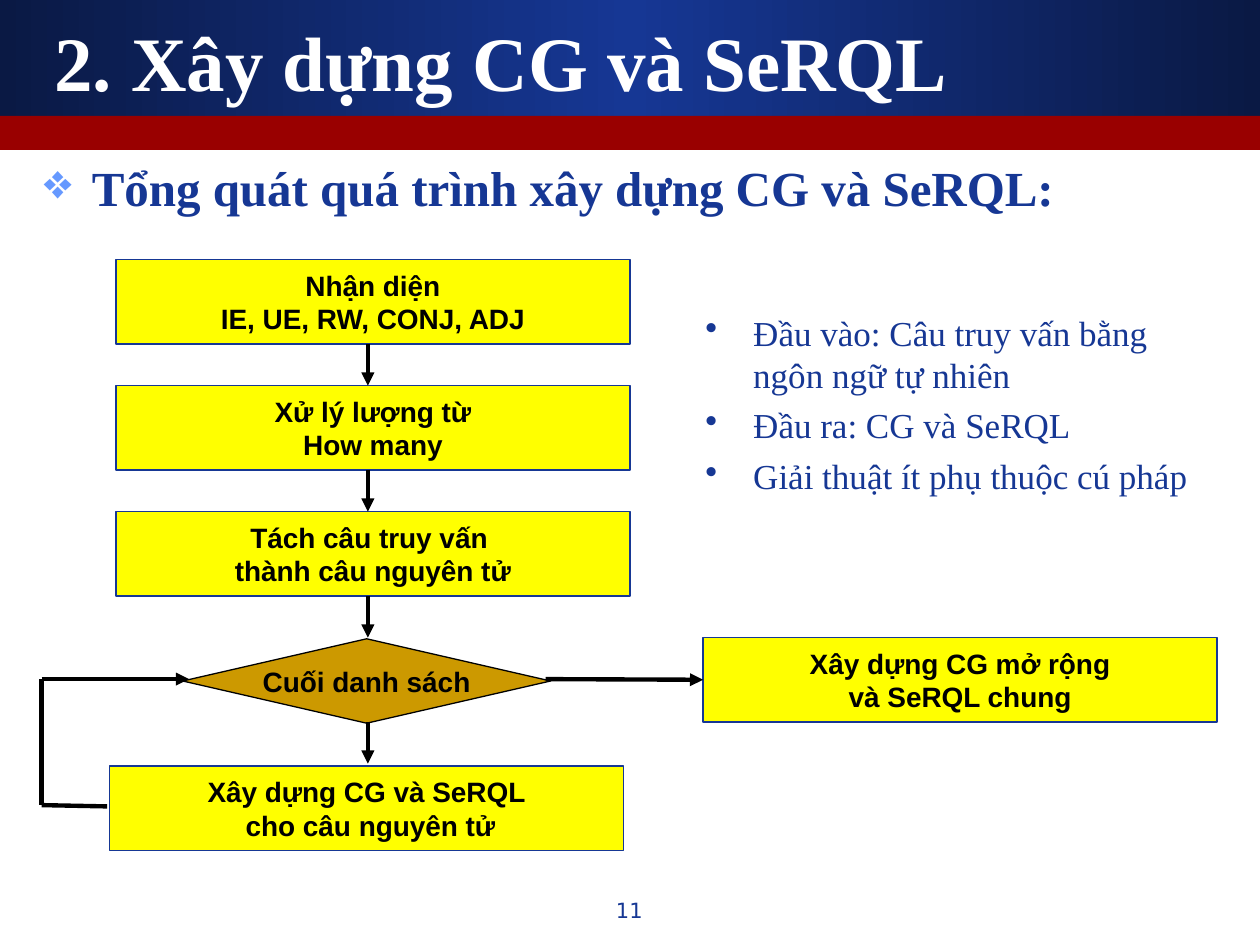
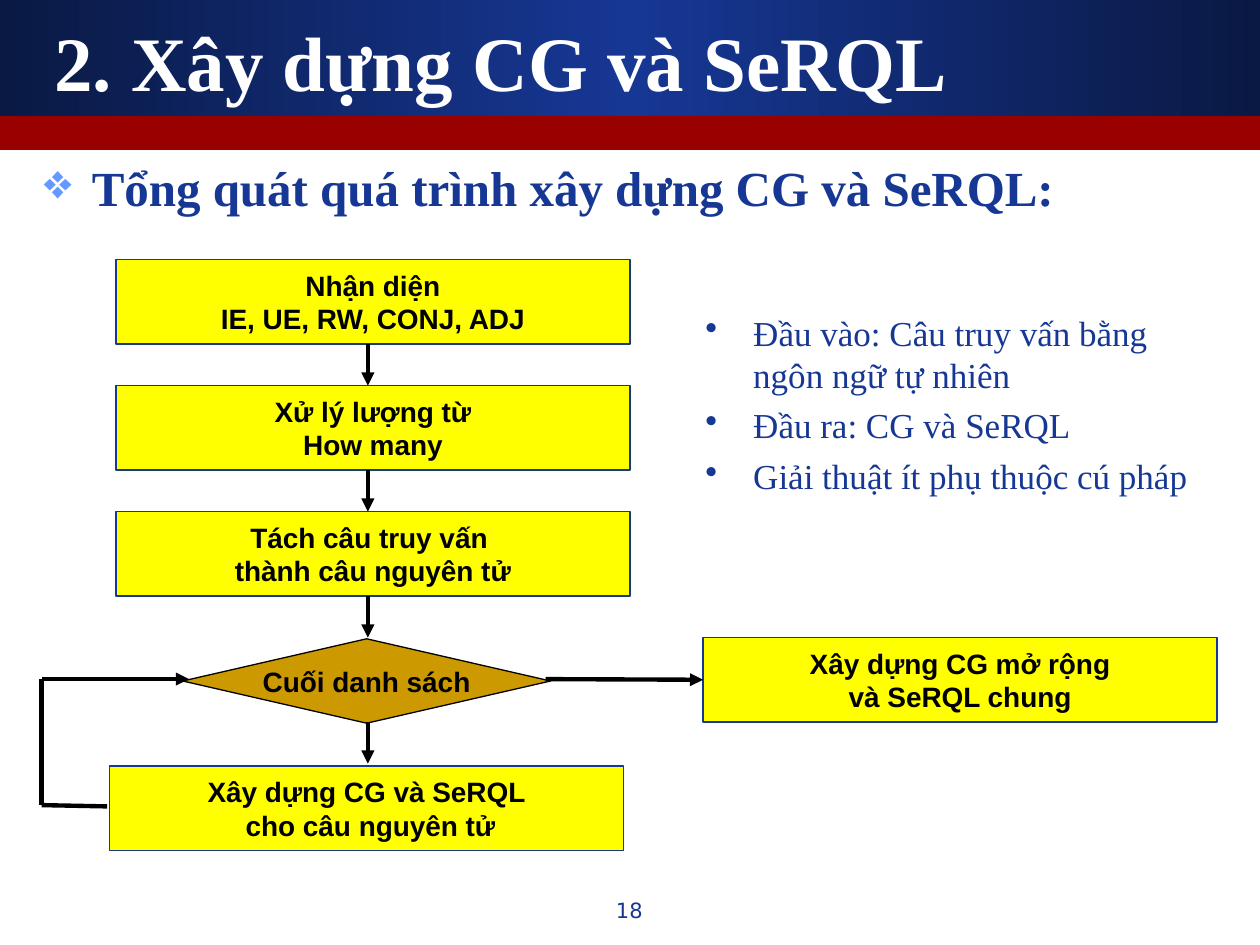
from lxml.etree import SubElement
from pptx import Presentation
from pptx.dml.color import RGBColor
from pptx.enum.shapes import MSO_CONNECTOR as Link, MSO_SHAPE as Shape
from pptx.enum.text import MSO_ANCHOR as Anchor, MSO_AUTO_SIZE as AutoSize, PP_ALIGN as Align
from pptx.oxml import parse_xml
from pptx.oxml.ns import nsdecls, qn
from pptx.util import Inches, Pt

COLORS = {
    "navy": "0A1944", "blue": "163794", "red": "990000", "sky": "6699FF",
    "yellow": "FFFF00", "gold": "CC9900", "black": "000000", "white": "FFFFFF",
}
FORMATS = {
    "title": {"name": "Times New Roman", "size": Pt(44), "bold": True, "color": "white"},
    "heading": {"name": "Times New Roman", "size": Pt(28), "bold": True, "color": "blue"},
    "note": {"name": "Times New Roman", "size": Pt(20), "bold": False, "color": "blue"},
    "step": {"name": "Arial", "size": Pt(16), "bold": True, "color": "black"},
    "number": {"name": "DejaVu Sans", "size": Pt(12), "bold": False, "color": "blue"},
}
TITLE = "2. Xây dựng CG và SeRQL"
HEADING = "Tổng quát quá trình xây dựng CG và SeRQL:"
STEPS = [
    ["Nhận diện", "IE, UE, RW, CONJ, ADJ"],
    ["Xử lý lượng từ", "How many"],
    ["Tách câu truy vấn ", "thành câu nguyên tử"],
]
DECISION = ["Cuối danh sách"]
LOOP_STEP = ["Xây dựng CG và SeRQL", " cho câu nguyên tử"]
RESULT = ["Xây dựng CG mở rộng", "và SeRQL chung"]
NOTES = [
    "Đầu vào: Câu truy vấn bằng ngôn ngữ tự nhiên",
    "Đầu ra: CG và SeRQL",
    "Giải thuật ít phụ thuộc cú pháp",
]
PAGE_NUMBERS = [11, 18]
STEP_TOP, STEP_PITCH = 2.06, 1.0
STEP_WIDTH, STEP_HEIGHT = 4.08, 0.67
FLOW_X, ARROW_LENGTH = 2.92, 0.33
LOOP_X, LOOP_Y, LOOP_BOTTOM = 0.33, 5.39, 6.39


def color(name):
    """Return the named colour."""
    return RGBColor.from_string(COLORS[name])


class Painter:
    """Holds the style and the current slide, and draws each kind of element."""

    def __init__(self, deck):
        """Keep the deck and its title-only layout."""
        self.deck = deck
        self.layout = deck.slide_layouts[5]
        self.page = None

    def start_page(self, title, number):
        """Add a slide with bands, title and page number."""
        self.page = self.deck.slides.add_slide(self.layout)
        top_band = self.shape(Shape.RECTANGLE, (0, 0, 10, 0.92), "blue")
        self.gradient(top_band, ["navy", "blue", "navy"])
        self.shape(Shape.RECTANGLE, (0, 0.92, 10, 0.27), "red")
        holder = self.page.shapes.title
        holder.left, holder.top, holder.width, holder.height = map(Inches, (0.33, 0.17, 9.25, 0.62))
        holder._element.getparent().append(holder._element)
        self.fill_text(holder, [title], "title", anchor=Anchor.MIDDLE)
        self.text((3.83, 7.07, 2.33, 0.35), [str(number)], "number", align=Align.CENTER)

    def gradient(self, shape, names):
        """Fill a shape with evenly spaced colour stops from side to side."""
        last = len(names) - 1
        stops = "".join(
            f'<a:gs pos="{100000 * i // last}"><a:srgbClr val="{COLORS[name]}"/></a:gs>'
            for i, name in enumerate(names))
        shape.fill.background()
        properties = shape._element.spPr
        properties.replace(properties.find(qn("a:noFill")), parse_xml(
            f'<a:gradFill {nsdecls("a")} rotWithShape="1"><a:gsLst>{stops}</a:gsLst>'
            '<a:lin ang="10800000" scaled="1"/></a:gradFill>'))

    def shape(self, kind, place, fill, line=None):
        """Add a flat preset shape, outlined if a line colour is given."""
        shape = self.page.shapes.add_shape(kind, *map(Inches, place))
        shape.shadow.inherit = False
        shape.fill.solid()
        shape.fill.fore_color.rgb = color(fill)
        if line:
            shape.line.color.rgb = color(line)
            shape.line.width = Pt(0.75)
        else:
            shape.line.fill.background()
        return shape

    def fill_text(self, box, lines, style, align=Align.LEFT, anchor=Anchor.TOP, wrap=True,
                  bullet=None, spacing=None, gap=0):
        """Put one formatted paragraph in a box for each line."""
        frame = box.text_frame
        settings = {
            "word_wrap": wrap, "auto_size": AutoSize.NONE, "vertical_anchor": anchor,
            "margin_left": Inches(0.1), "margin_right": Inches(0.1),
            "margin_top": Inches(0.05), "margin_bottom": Inches(0.05),
        }
        for name, value in settings.items():
            setattr(frame, name, value)
        for i, line in enumerate(lines):
            para = frame.add_paragraph() if i else frame.paragraphs[0]
            para.alignment = align
            if spacing:
                para.line_spacing = spacing
            if i and gap:
                para.space_before = Pt(gap)
            if bullet:
                self.bullet(para, *bullet)
            span = para.add_run()
            span.text = line
            for name, value in FORMATS[style].items():
                if name == "color":
                    span.font.color.rgb = color(value)
                else:
                    setattr(span.font, name, value)

    def bullet(self, para, mark, tint):
        """Give a paragraph a coloured bullet with a hanging indent."""
        properties = para._p.get_or_add_pPr()
        indent = Inches(0.38)
        properties.set("marL", str(indent))
        properties.set("indent", str(-indent))
        SubElement(SubElement(properties, qn("a:buClr")), qn("a:srgbClr")).set("val", COLORS[tint])
        SubElement(properties, qn("a:buChar")).set("char", mark)

    def text(self, place, lines, style, **options):
        """Add a text box."""
        box = self.page.shapes.add_textbox(*map(Inches, place))
        self.fill_text(box, lines, style, **options)

    def step(self, place, lines, kind=Shape.FLOWCHART_PROCESS, fill="yellow", line="blue"):
        """Add a flowchart shape with centred text."""
        box = self.shape(kind, place, fill, line)
        self.fill_text(box, lines, "step", align=Align.CENTER, anchor=Anchor.MIDDLE, wrap=False)
        return box

    def line(self, start, end, arrow=True):
        """Add a straight black connector, with an arrowhead at its end if wanted."""
        connector = self.page.shapes.add_connector(Link.STRAIGHT, *map(Inches, (*start, *end)))
        connector.line.color.rgb = color("black")
        connector.line.width = Pt(2.5)
        if arrow:
            SubElement(connector.line._get_or_add_ln(), qn("a:tailEnd")).set("type", "triangle")
        SubElement(connector._element.spPr, qn("a:effectLst"))
        return connector


def draw_flow(painter):
    """Draw the flowchart that builds CG and SeRQL."""
    for i, lines in enumerate(STEPS):
        painter.step((0.92, STEP_TOP + i * STEP_PITCH, STEP_WIDTH, STEP_HEIGHT), lines)
    painter.step((0.87, 6.08, STEP_WIDTH, STEP_HEIGHT), LOOP_STEP)
    result = painter.step((5.58, 5.06, STEP_WIDTH, STEP_HEIGHT), RESULT)
    painter.step((1.45, 5.07, 2.92, STEP_HEIGHT), DECISION,
                 Shape.FLOWCHART_DECISION, "gold", "black")
    for i in range(len(STEPS) + 1):
        top = STEP_TOP + i * STEP_PITCH + STEP_HEIGHT
        painter.line((FLOW_X, top), (FLOW_X, top + ARROW_LENGTH))
    painter.line((4.33, LOOP_Y), (5.58, LOOP_Y)).end_connect(result, 1)
    painter.line((LOOP_X, LOOP_Y), (1.5, LOOP_Y))
    painter.line((LOOP_X, LOOP_Y), (LOOP_X, LOOP_BOTTOM), arrow=False)
    painter.line((LOOP_X, LOOP_BOTTOM), (0.85, 6.4), arrow=False)


def main():
    """Build and save the deck."""
    deck = Presentation()
    deck.slide_width, deck.slide_height = Inches(10), Inches(7.5)
    painter = Painter(deck)
    for number in PAGE_NUMBERS:
        painter.start_page(TITLE, number)
        painter.text((0.25, 1.25, 9.42, 0.58), [HEADING], "heading",
                     bullet=("❖", "sky"), spacing=0.9)
        draw_flow(painter)
        painter.text((5.5, 2.42, 4.17, 1.58), NOTES, "note", bullet=("•", "blue"), gap=5)
    deck.save("out.pptx")


if __name__ == "__main__":
    main()
